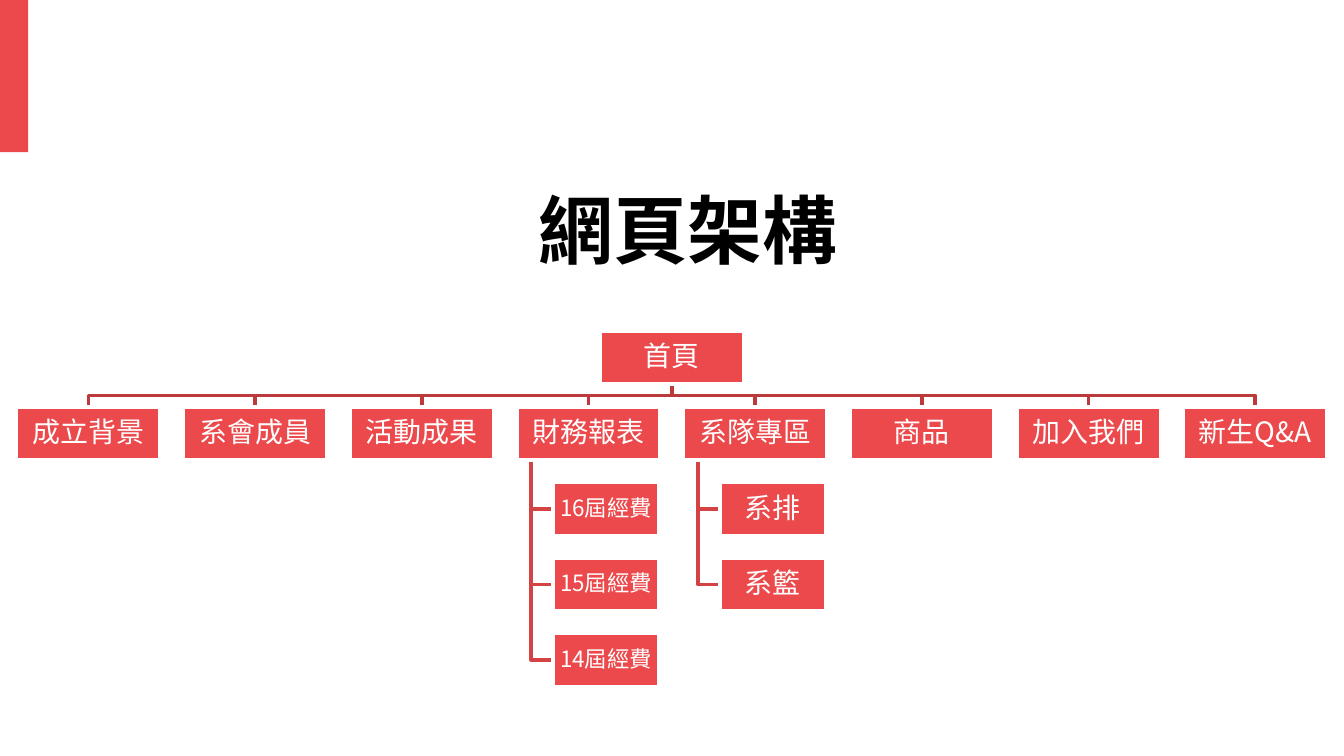
import pptx
import pptx.dml.color
import pptx.enum.shapes
import pptx.enum.text
import pptx.util
from lxml import etree
from pptx.util import Pt

COLORS = {"red": "EB494B", "top_link": "BC3A3C", "sub_link": "D54244",
          "white": "FFFFFF", "black": "000000"}
RGB = {name: pptx.dml.color.RGBColor.from_string(value) for name, value in COLORS.items()}
FONT = "Noto Sans CJK SC"
BOX_W, BOX_H, SUB_W = 77, 28.6, 57
ROOT_TOP, PAGE_TOP, SUB_TOP = 177.3, 218, 258.4
LEFT, PAGE_PITCH, SUB_PITCH = 8.9, 89.3, 40.4
TRUNK_INDENT, SUB_INDENT = 7.8, 19.4

presentation = pptx.Presentation()
presentation.slide_width, presentation.slide_height = Pt(720), Pt(405)
slide = presentation.slides.add_slide(presentation.slide_layouts[5])


def write(shape, text, size, color, bold=False):
    """Put one centred line of text in the shape, for Latin and CJK glyphs alike."""
    frame = shape.text_frame
    frame.text = text
    frame.word_wrap = True
    frame.vertical_anchor = pptx.enum.text.MSO_ANCHOR.MIDDLE
    paragraph = frame.paragraphs[0]
    paragraph.alignment = pptx.enum.text.PP_ALIGN.CENTER
    run = paragraph.runs[0]
    run.font.size, run.font.bold, run.font.name = Pt(size), bold, FONT
    run.font.color.rgb = RGB[color]
    east_asian = etree.SubElement(run.font._element, pptx.oxml.ns.qn("a:ea"))
    east_asian.set("typeface", FONT)


def draw_link(points, color):
    (x, y), *rest = [(Pt(px), Pt(py)) for px, py in points]
    builder = slide.shapes.build_freeform(x, y)
    builder.add_line_segments(rest, close=False)
    link = builder.convert_to_shape()
    link.fill.background()
    link.line.color.rgb = RGB[color]
    link.line.width = Pt(2)
    link.shadow.inherit = False


title = slide.shapes.title
title.left, title.top, title.width, title.height = Pt(42.5), Pt(95), Pt(652), Pt(55.4)
write(title, "網頁架構", 40, "black", bold=True)

accent = slide.shapes.add_shape(pptx.enum.shapes.MSO_SHAPE.RECTANGLE, 0, 0, Pt(15.1), Pt(81.5))
accent.fill.solid()
accent.fill.fore_color.rgb = RGB["red"]
accent.line.fill.background()
accent.shadow.inherit = False

# Site map: each top-level page with its subpages, and their text size
pages = [
    ("成立背景", [], 15),
    ("系會成員", [], 15),
    ("活動成果", [], 15),
    ("財務報表", ["16屆經費", "15屆經費", "14屆經費"], 12),
    ("系隊專區", ["系排", "系籃"], 15),
    ("商品", [], 15),
    ("加入我們", [], 15),
    ("新生Q&A", [], 15),
]
home_x = LEFT + PAGE_PITCH * (len(pages) - 1) / 2 + BOX_W / 2
home_bottom = ROOT_TOP + BOX_H
bus_y = (home_bottom + PAGE_TOP) / 2

# Links come first so that the white box outlines cover their ends
boxes = [("首頁", home_x - BOX_W / 2, ROOT_TOP, BOX_W, 15)]
for column, (page, subpages, sub_size) in enumerate(pages):
    page_left = LEFT + column * PAGE_PITCH
    page_x = page_left + BOX_W / 2
    draw_link([(home_x, home_bottom), (home_x, bus_y), (page_x, bus_y), (page_x, PAGE_TOP)],
              "top_link")
    boxes.append((page, page_left, PAGE_TOP, BOX_W, 15))
    for row, subpage in enumerate(subpages):
        sub_left, sub_top = page_left + SUB_INDENT, SUB_TOP + row * SUB_PITCH
        trunk_x, sub_y = page_left + TRUNK_INDENT, sub_top + BOX_H / 2
        draw_link([(trunk_x, PAGE_TOP + BOX_H), (trunk_x, sub_y), (sub_left, sub_y)], "sub_link")
        boxes.append((subpage, sub_left, sub_top, SUB_W, sub_size))

for label, left, top, width, size in boxes:
    box = slide.shapes.add_shape(pptx.enum.shapes.MSO_SHAPE.RECTANGLE,
                                 Pt(left), Pt(top), Pt(width), Pt(BOX_H))
    box.fill.solid()
    box.fill.fore_color.rgb = RGB["red"]
    box.line.color.rgb = RGB["white"]
    box.line.width = Pt(2)
    box.shadow.inherit = False
    frame = box.text_frame
    frame.margin_left = frame.margin_right = frame.margin_top = frame.margin_bottom = Pt(0.7)
    write(box, label, size, "white")
    frame.paragraphs[0].line_spacing = 0.9

presentation.save("out.pptx")
